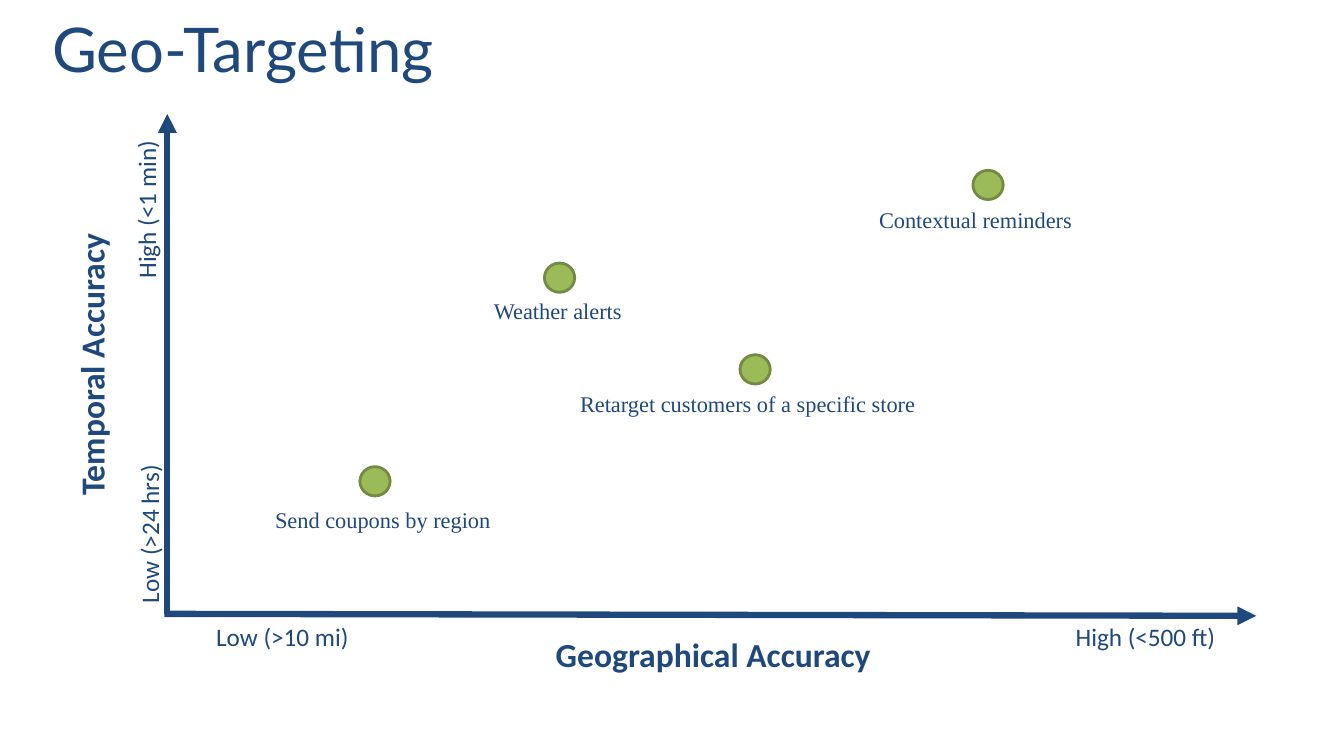
from collections import namedtuple

from lxml.etree import SubElement
from pptx import Presentation
from pptx.dml.color import RGBColor
from pptx.enum.shapes import MSO_CONNECTOR as Connector, MSO_SHAPE as Shape
from pptx.enum.text import PP_ALIGN as Align
from pptx.oxml.ns import qn
from pptx.util import Inches, Pt

NAVY = RGBColor(0x1F, 0x49, 0x7D)
GREEN = RGBColor(0x9B, 0xBB, 0x59)
OLIVE = RGBColor(0x73, 0x8A, 0x42)

Box = namedtuple("Box", "left top width height")

DOT_WIDTH, DOT_HEIGHT = 2.77, 5.85
AXES = [((0, 100), (0, 0)), ((-0.28, 100), (99.72, 100.4))]
AXIS_TITLES = [
    ("Geographical Accuracy", 50, 108.06, 0),
    ("Temporal Accuracy", -6.97, 50.2, 270),
]
AXIS_ENDS = [
    ("High (<1 min)", -1.94, 19.15, 270),
    ("Low (>24 hrs)", -1.66, 84.07, 270),
    ("Low (>10 mi)", 10.53, 104.44, 0),
    ("High (<500 ft)", 89.57, 104.44, 0),
]
USES = [
    ("Contextual reminders", 75.16, 14.21, 21.79, 0, 5.85),
    ("Weather alerts", 35.92, 32.76, 13.85, 0, 5.65),
    ("Retarget customers of a specific store", 53.83, 51.1, 33.89, 0, 5.85),
    ("Send coupons by region", 19.02, 73.49, 25.21, 2.54, 6.65),
]


def point(box, x, y):
    return int(box.left + box.width * x / 100), int(box.top + box.height * y / 100)


def share(box, x, y, width, height):
    return Box(*point(box, x, y), int(box.width * width / 100), int(box.height * height / 100))


def centred(box, x, y, width, height):
    return share(box, x - width / 2, y - height / 2, width, height)


def add_text(page, box, text, size, font, bold=False, align=Align.LEFT, turn=0):
    label = page.shapes.add_textbox(*box)
    label.rotation = turn
    label.text_frame.word_wrap = True
    label.text_frame.text = text
    para = label.text_frame.paragraphs[0]
    para.alignment = align
    span = para.runs[0]
    span.font.name = font
    span.font.size = Pt(size)
    span.font.bold = bold
    span.font.color.rgb = NAVY
    return para


def add_title(page, box):
    add_text(page, box, "Geo-Targeting", 44, "Lato").line_spacing = 0.8


def add_axes(page, plot):
    for start, end in AXES:
        axis = page.shapes.add_connector(Connector.STRAIGHT, *point(plot, *start), *point(plot, *end))
        axis.line.color.rgb = NAVY
        axis.line.width = Pt(4.5)
        SubElement(axis.line._get_or_add_ln(), qn("a:tailEnd"), type="triangle")
        SubElement(axis._element.spPr, qn("a:effectLst"))
    for text, x, y, turn in AXIS_TITLES:
        box = centred(plot, x, y, 46.08 if turn else 100, 10.08)
        add_text(page, box, text, 24, "Calibri", True, Align.CENTER, turn)
    for text, x, y, turn in AXIS_ENDS:
        box = centred(plot, x, y, 21.24, 8.06)
        add_text(page, box, text, 18, "Calibri", False, Align.CENTER, turn)


def add_uses(page, plot):
    for text, x, y, width, shift, drop in USES:
        dot = page.shapes.add_shape(Shape.OVAL, *centred(plot, x, y, DOT_WIDTH, DOT_HEIGHT))
        dot.shadow.inherit = False
        dot.fill.solid()
        dot.fill.fore_color.rgb = GREEN
        dot.line.color.rgb = OLIVE
        dot.line.width = Pt(2)
        box = centred(plot, x + shift, y + drop, width, DOT_HEIGHT)
        para = add_text(page, box, text, 16, "Times New Roman")
        para.line_spacing = 1.05
        para.space_after = Pt(8)


def main():
    deck = Presentation()
    deck.slide_width, deck.slide_height = Inches(13.33), Inches(7.5)
    page = deck.slides.add_slide(deck.slide_layouts[6])
    whole = Box(0, 0, deck.slide_width, deck.slide_height)
    plot = share(whole, 12.45, 15.07, 81.25, 66.13)
    add_title(page, share(whole, 3.15, 2.67, 94.5, 15.47))
    add_axes(page, plot)
    add_uses(page, plot)
    deck.save("out.pptx")


if __name__ == "__main__":
    main()
